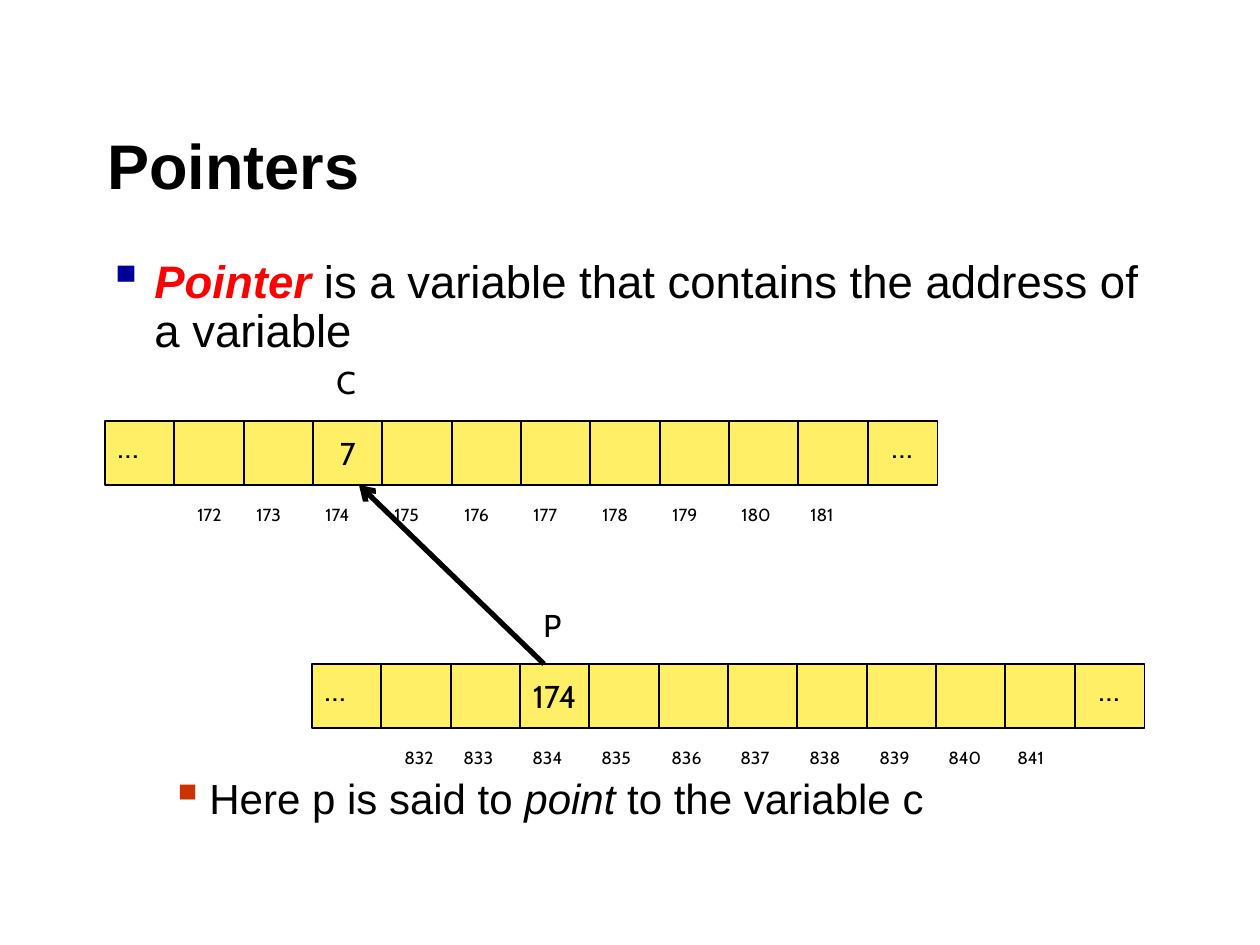
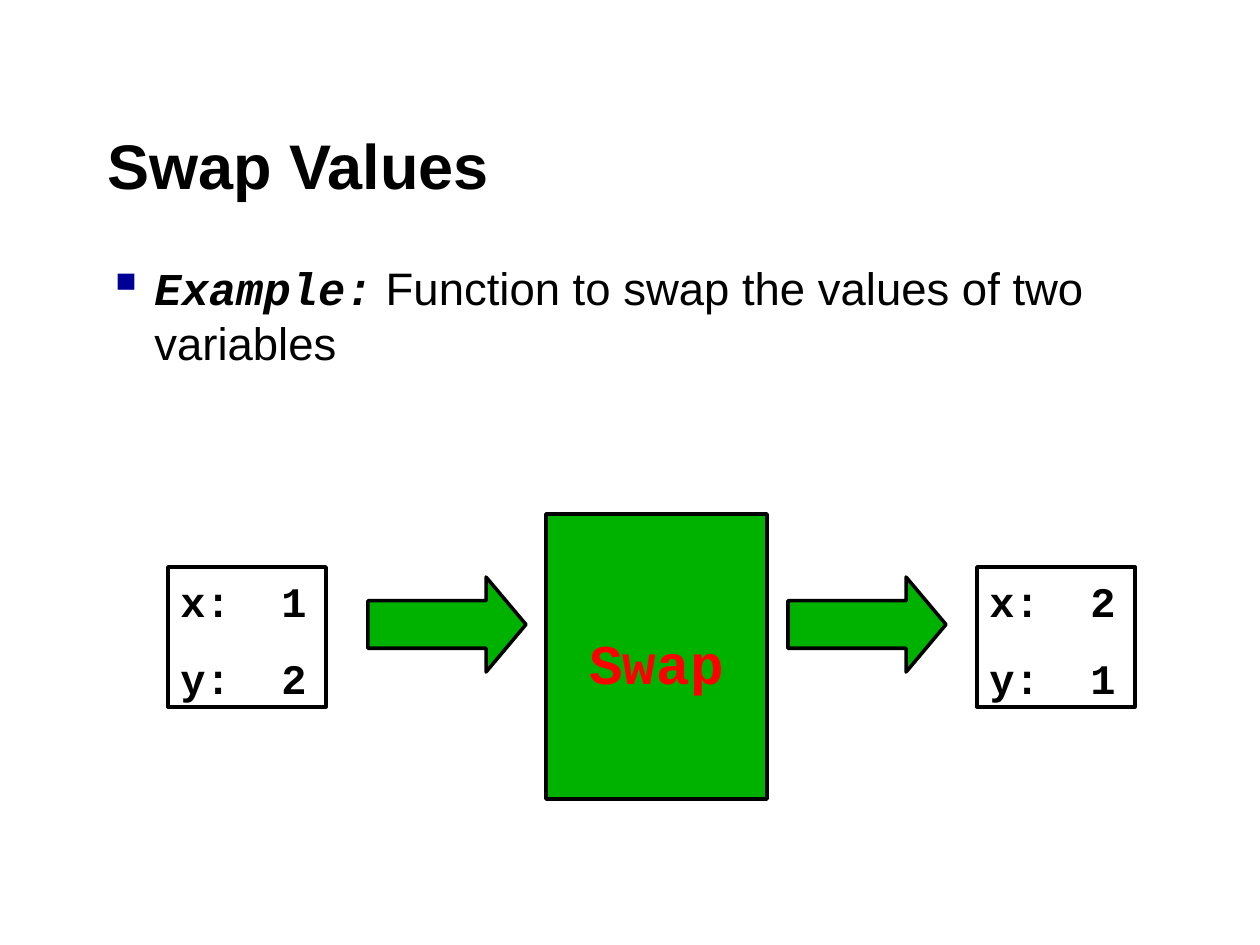
"""Build two slides on pointers and on swapping values."""
from lxml import etree
from pptx import Presentation
from pptx.dml.color import RGBColor
from pptx.enum.shapes import MSO_CONNECTOR, MSO_SHAPE
from pptx.enum.text import MSO_ANCHOR, PP_ALIGN
from pptx.oxml.ns import qn
from pptx.util import Pt

BLACK = RGBColor(0x00, 0x00, 0x00)
RED = RGBColor(0xFF, 0x00, 0x00)
NAVY = RGBColor(0x00, 0x00, 0x99)
RUST = RGBColor(0xCC, 0x33, 0x00)
YELLOW = RGBColor(0xFF, 0xEF, 0x66)
GREEN = RGBColor(0x00, 0xB2, 0x00)
RECT, ARROW = MSO_SHAPE.RECTANGLE, MSO_SHAPE.RIGHT_ARROW
LINE = MSO_CONNECTOR.STRAIGHT
TOP, MIDDLE, BOTTOM = MSO_ANCHOR.TOP, MSO_ANCHOR.MIDDLE, MSO_ANCHOR.BOTTOM
LEFT, CENTER = PP_ALIGN.LEFT, PP_ALIGN.CENTER

SCALE = 914400 / 126
SIZE = (1260, 945)
TITLE = (95, 103, 946, 105)
BODY_X, BODY_W = 95, 1081
LEADING = 1.2

HEAD = {"name": "Arial", "size": 36, "bold": True}
TEXT = {"name": "Arial", "size": 26}
SUB = {"name": "Arial", "size": 24}
CODE = {"name": "Courier New", "size": 24, "bold": True}
MARK = {"name": "Cabin", "size": 18}
TINY = {"name": "Cabin", "size": 10}

BULLET = {"color": NAVY, "left": 47, "hang": 47}
SUBBULLET = {"color": RUST, "left": 102, "hang": 39}

POINTER = [("Pointer", {**TEXT, "bold": True, "italic": True, "color": RED}),
           (" is a variable that contains the address of a variable", TEXT)]
REMARK = [("Here p is said to ", SUB), ("point", {**SUB, "italic": True}),
          (" to the variable c", SUB)]
EXAMPLE = [("Example:", {**CODE, "size": 26, "italic": True}),
           (" Function to swap the values of two variables", TEXT)]

CELLS, CELL_H, ROW_W = 12, 64, 832
HELD, NUDGE = 3, 11
MEMORY = [
    {"x": 105, "y": 421, "name": "C", "value": "7", "first": 172},
    {"x": 312, "y": 664, "name": "P", "value": "174", "first": 832},
]
LINK = ((544, 664), (359, 485))

STATES = [(168, ("1", "2")), (977, ("2", "1"))]
STATE_Y, STATE_W, STATE_H, TAB = 567, 158, 140, 101
ARROWS = [368, 788]
ARROW_Y, ARROW_W, ARROW_H = 577, 158, 95
SWAP = (546, 514, 221, 285)


def emu(*px):
    """Turn px lengths into EMU."""
    return [round(p * SCALE) for p in px]


def child(node, tag, **attrs):
    """Append a drawing element with the given attributes."""
    item = etree.SubElement(node, qn(tag))
    for key, val in attrs.items():
        item.set(key, str(val))
    return item


def write(shape, paras, anchor=TOP, align=LEFT, wrap=True, gap=0,
          bullet=None, spacing=LEADING, tab=0):
    """Fill a shape with paragraphs, each a list of (text, format) runs."""
    frame = shape.text_frame
    frame.word_wrap, frame.vertical_anchor = wrap, anchor
    for i, runs in enumerate(paras):
        para = frame.add_paragraph() if i else frame.paragraphs[0]
        para.alignment = align
        para.line_spacing = Pt(round(runs[0][1]["size"] * spacing, 1))
        para.space_before = Pt(gap if i else 0)
        props = para._p.get_or_add_pPr()
        if bullet:
            left, hang = emu(bullet["left"], bullet["hang"])
            props.set("marL", str(left))
            props.set("indent", str(-hang))
            child(child(props, "a:buClr"), "a:srgbClr", val=bullet["color"])
            child(props, "a:buSzPct", val=110000)
            child(props, "a:buChar", char="▪")
        if tab:
            child(child(props, "a:tabLst"), "a:tab", pos=emu(tab)[0], algn="l")
        for text, style in runs:
            run = para.add_run()
            run.text = text
            look = {"color": BLACK, **style}
            run.font.color.rgb = look.pop("color")
            run.font.size = Pt(look.pop("size"))
            for key, val in look.items():
                setattr(run.font, key, val)


def label(slide, box, runs, **opts):
    """Add a text box with one paragraph."""
    write(slide.shapes.add_textbox(*emu(*box)), [runs], **opts)


def block(slide, kind, box, fill, width):
    """Add an outlined shape, filled if a colour is given."""
    shape = slide.shapes.add_shape(kind, *emu(*box))
    shape.shadow.inherit = False
    shape.line.color.rgb, shape.line.width = BLACK, Pt(width)
    if fill is None:
        shape.fill.background()
    else:
        shape.fill.solid()
        shape.fill.fore_color.rgb = fill
    return shape


def start(deck, title):
    """Add a blank slide with the shared title."""
    slide = deck.slides.add_slide(deck.slide_layouts[6])
    label(slide, TITLE, [(title, HEAD)], anchor=BOTTOM)
    return slide


def row(slide, x, y, name, value, first):
    """Draw a strip of memory cells with its name, value and addresses."""
    step = ROW_W / CELLS
    edge = [x + round(i * step) for i in range(CELLS + 1)]
    for i in range(CELLS):
        cell = block(slide, RECT, (edge[i], y, step, CELL_H), YELLOW, 0.75)
        if i == HELD:
            write(cell, [[(value, MARK)]], MIDDLE, CENTER, False)
    marks = [(edge[0], y, "…"), (edge[-2] + NUDGE, y, "…"),
             (edge[HELD] + NUDGE, y - CELL_H, name)]
    for left, top, text in marks:
        label(slide, (left, top, 47, 50), [(text, MARK)], wrap=False)
    for i in range(1, CELLS - 1):
        left = edge[i] + (NUDGE if i == 1 else 0)
        label(slide, (left, y + 77, step, 34),
              [(str(first + i - 1), TINY)], wrap=False)


def pointers(deck):
    """Show a pointer cell aimed at a variable."""
    slide = start(deck, "Pointers")
    label(slide, (BODY_X, 252, BODY_W, 120), POINTER,
          bullet=BULLET, spacing=1.08)
    label(slide, (BODY_X, 771, BODY_W, 60), REMARK,
          bullet=SUBBULLET, spacing=1.08)
    for strip in MEMORY:
        row(slide, **strip)
    tail, tip = LINK
    link = slide.shapes.add_connector(LINE, *emu(*tail, *tip))
    link.line.color.rgb, link.line.width = BLACK, Pt(3)
    child(link.line._get_or_add_ln(), "a:tailEnd", type="arrow")
    child(link._element.spPr, "a:effectLst")


def swap(deck):
    """Show two values going through a swap function."""
    slide = start(deck, "Swap Values")
    label(slide, (BODY_X, 254, BODY_W, 130), EXAMPLE, bullet=BULLET)
    for x, values in STATES:
        box = block(slide, RECT, (x, STATE_Y, STATE_W, STATE_H), None, 2)
        box.text_frame.margin_top = emu(9)[0]
        lines = [[(f"{var}:\t{val}", CODE)] for var, val in zip("xy", values)]
        write(box, lines, gap=15, tab=TAB)
    for x in ARROWS:
        arrow = block(slide, ARROW, (x, ARROW_Y, ARROW_W, ARROW_H), GREEN, 2)
        arrow.adjustments[1] = 0.42
    box = block(slide, RECT, SWAP, GREEN, 2)
    box.text_frame.margin_top = emu(18)[0]
    write(box, [[("Swap", {**CODE, "size": 32, "color": RED})]],
          MIDDLE, CENTER)


def main():
    """Build and save the deck."""
    deck = Presentation()
    deck.slide_width, deck.slide_height = emu(*SIZE)
    pointers(deck)
    swap(deck)
    deck.save("out.pptx")


if __name__ == "__main__":
    main()
